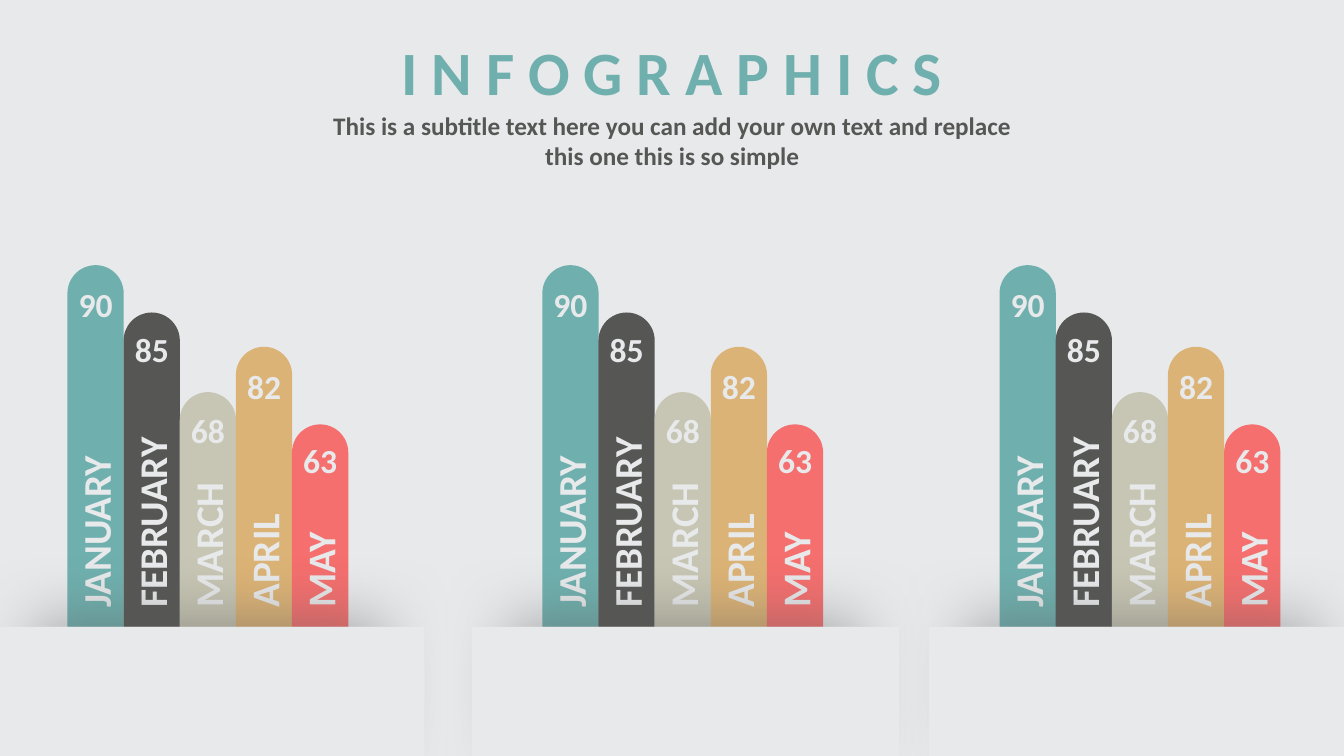
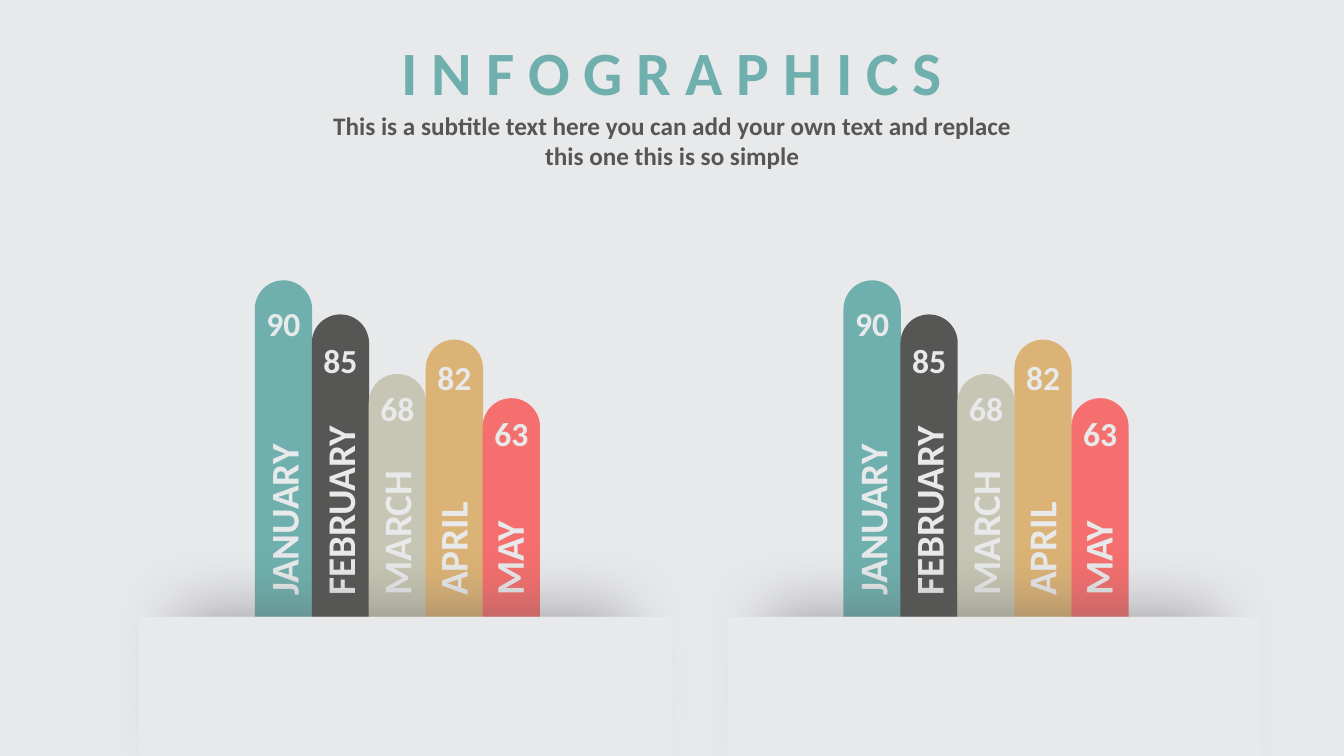
from dataclasses import dataclass

from lxml.etree import SubElement
from pptx import Presentation
from pptx.dml.color import RGBColor
from pptx.enum.shapes import MSO_SHAPE
from pptx.enum.text import MSO_ANCHOR, MSO_AUTO_SIZE, PP_ALIGN
from pptx.oxml.ns import qn
from pptx.util import Pt

SLIDE_W, SLIDE_H = 960, 540
FONT = "Calibri"
COLORS = {
    "paper": "E8E9EB",
    "teal": "6FB0AE",
    "charcoal": "565654",
    "stone": "C7C6B4",
    "sand": "DCB376",
    "coral": "F46F6E",
    "shadow": "595959",
}
MONTHS = [
    ("JANUARY", 90, "teal"),
    ("FEBRUARY", 85, "charcoal"),
    ("MARCH", 68, "stone"),
    ("APRIL", 82, "sand"),
    ("MAY", 63, "coral"),
]
TITLE = "I N F O G R A P H I C S"
SUBTITLE = ("This is a subtitle text here you can add your own text "
            "and replace this one this is so simple")
TITLE_BOX = (242.6, 20.9, 475.2, 60.5)
SUBTITLE_BOX = (223.2, 74.9, 514.1, 51.1)
LABEL_H, VALUE_H = 41.2, 36


@dataclass
class BarStyle:
    lefts: list
    bar_w: float
    bar_step: float
    label_step: float
    bar_bottom: float
    label_bottom: float
    value_w: float
    tops: list
    value_tops: list
    label_lengths: list
    pocket_top: float
    pocket_inset: float
    pocket_w: float
    shade_inset: float
    shade_w: float
    shade_h: float


THREE_GROUPS = BarStyle(
    lefts=[48.2, 387.4, 714],
    bar_w=40.2, bar_step=40.1, label_step=40.1,
    bar_bottom=469.4, label_bottom=441, value_w=46,
    tops=[189.4, 223.2, 280.1, 247.7, 303.1],
    value_tops=[199.4, 231.1, 289.4, 257.8, 311],
    label_lengths=[137.5, 145.4, 137.5, 93.6, 79.9],
    pocket_top=447.8, pocket_inset=50.4, pocket_w=305.3,
    shade_inset=23.2, shade_w=249.1, shade_h=90,
)
TWO_GROUPS = BarStyle(
    lefts=[182, 602.5],
    bar_w=40.9, bar_step=40.7, label_step=40.2,
    bar_bottom=447.3, label_bottom=432.7, value_w=49,
    tops=[200.2, 224.6, 267.1, 242.6, 284.4],
    value_tops=[213.1, 239, 273.6, 251.3, 291.6],
    label_lengths=[157.7, 140.4, 107.3, 99.4, 79.2],
    pocket_top=440.6, pocket_inset=82.7, pocket_w=380.2,
    shade_inset=54, shade_w=318.2, shade_h=99.4,
)


def rgb(name):
    return RGBColor.from_string(COLORS[name])


def place(sp, left, top, width, height):
    sp.left, sp.top = Pt(left), Pt(top)
    sp.width, sp.height = Pt(width), Pt(height)


def write(sp, text, size, color, align):
    tf = sp.text_frame
    tf.text = text
    tf.word_wrap = True
    tf.auto_size = MSO_AUTO_SIZE.NONE
    tf.vertical_anchor = MSO_ANCHOR.TOP
    p = tf.paragraphs[0]
    p.alignment = align
    p.line_spacing = 1.0
    p.space_before = Pt(0)
    font = p.runs[0].font
    font.name, font.size, font.bold = FONT, Pt(size), True
    font.color.rgb = rgb(color)


def add_text(s, box, text, size, align):
    sp = s.shapes.add_textbox(*map(Pt, box))
    write(sp, text, size, "paper", align)
    return sp


def add_block(s, kind, box, color):
    sp = s.shapes.add_shape(kind, *map(Pt, box))
    sp.shadow.inherit = False
    sp.fill.solid()
    sp.fill.fore_color.rgb = rgb(color)
    sp.line.fill.background()
    return sp


def cast_shadow(sp):
    effects = sp.element.spPr.find(qn("a:effectLst"))
    shadow = SubElement(effects, qn("a:outerShdw"), blurRad=str(Pt(47)),
                        dist=str(Pt(4)), dir="16200000", algn="b",
                        rotWithShape="0")
    color = SubElement(shadow, qn("a:srgbClr"), val=COLORS["shadow"])
    SubElement(color, qn("a:alpha"), val="50000")


def add_bar(s, left, top, style, color):
    box = (left, top, style.bar_w, style.bar_bottom - top)
    sp = add_block(s, MSO_SHAPE.ROUND_2_SAME_RECTANGLE, box, color)
    sp.adjustments[0] = 0.5
    sp.adjustments[1] = 0


def add_month_label(s, center, bottom, length, text):
    box = (center - length / 2, bottom - (length + LABEL_H) / 2,
           length, LABEL_H)
    add_text(s, box, text, 28, PP_ALIGN.LEFT).rotation = 270


def add_pocket(s, left, style):
    top = style.pocket_top
    shade = (left - style.shade_inset, top, style.shade_w, style.shade_h)
    cast_shadow(add_block(s, MSO_SHAPE.RECTANGLE, shade, "paper"))
    start = max(0, left - style.pocket_inset)
    end = min(SLIDE_W, left - style.pocket_inset + style.pocket_w)
    front = (start, top, end - start, SLIDE_H - top)
    add_block(s, MSO_SHAPE.RECTANGLE, front, "paper")


def add_bar_group(s, left, style):
    first_center = left + style.bar_w / 2
    rows = zip(MONTHS, style.tops, style.value_tops, style.label_lengths)
    for i, ((month, value, color), top, value_top, length) in enumerate(rows):
        add_bar(s, left + i * style.bar_step, top, style, color)
        add_month_label(s, first_center + i * style.label_step,
                        style.label_bottom, length, month)
        center = first_center + i * style.bar_step
        value_box = (center - style.value_w / 2, value_top,
                     style.value_w, VALUE_H)
        add_text(s, value_box, str(value), 24, PP_ALIGN.CENTER)
    add_pocket(s, left, style)


def set_up_template(prs):
    prs.slide_width, prs.slide_height = Pt(SLIDE_W), Pt(SLIDE_H)
    fill = prs.slide_master.background.fill
    fill.solid()
    fill.fore_color.rgb = rgb("paper")
    layout = prs.slide_layouts[0]
    place(layout.placeholders[0], *TITLE_BOX)
    place(layout.placeholders[1], *SUBTITLE_BOX)
    return layout


def add_infographic(prs, layout, style):
    s = prs.slides.add_slide(layout)
    write(s.shapes.title, TITLE, 44, "teal", PP_ALIGN.CENTER)
    write(s.placeholders[1], SUBTITLE, 18, "charcoal", PP_ALIGN.CENTER)
    for left in style.lefts:
        add_bar_group(s, left, style)


def main():
    prs = Presentation()
    layout = set_up_template(prs)
    for style in (THREE_GROUPS, TWO_GROUPS):
        add_infographic(prs, layout, style)
    prs.save("out.pptx")


main()
